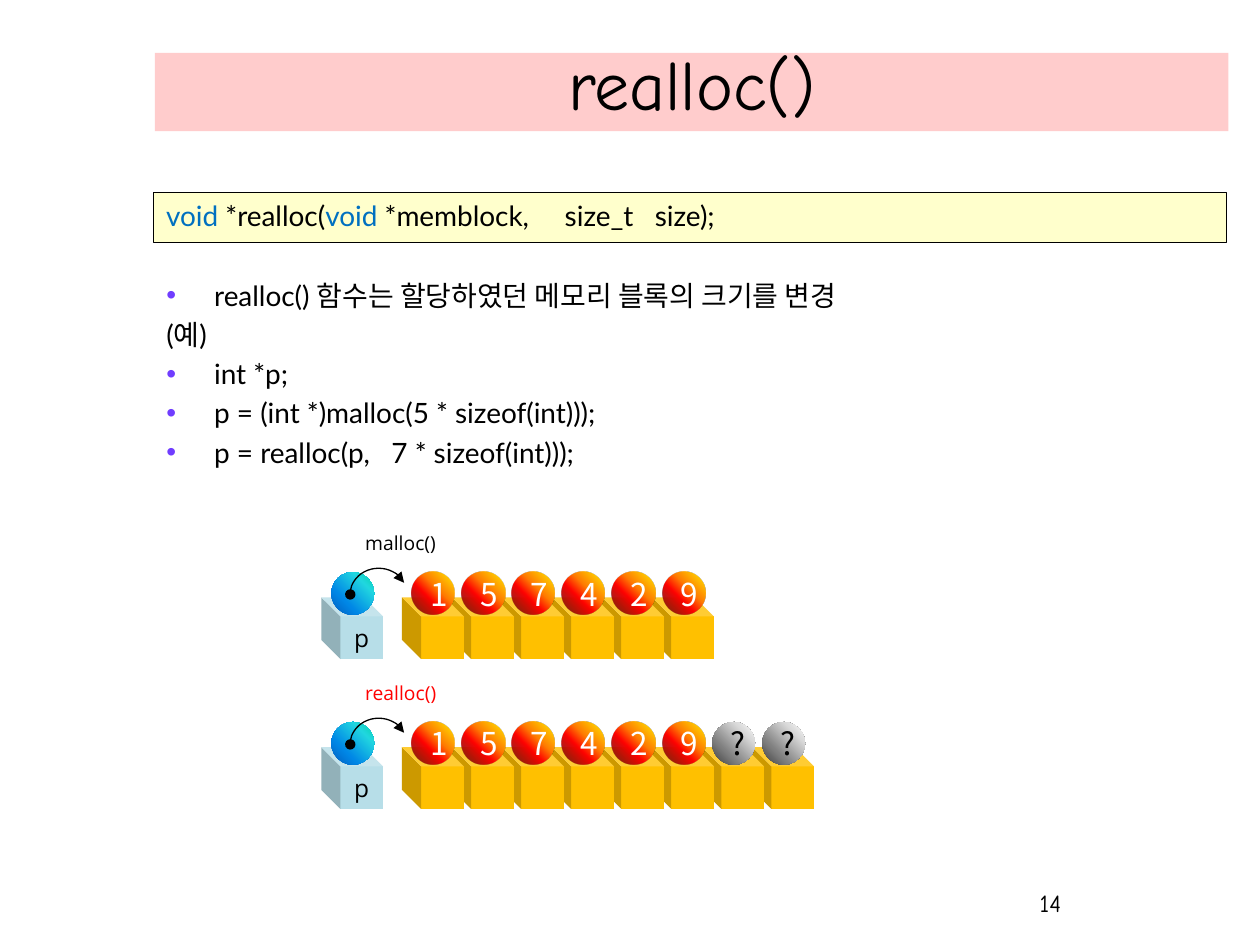
from lxml.etree import SubElement
from pptx import Presentation
from pptx.dml.color import RGBColor
from pptx.enum.shapes import MSO_SHAPE
from pptx.enum.text import MSO_ANCHOR, MSO_AUTO_SIZE, PP_ALIGN
from pptx.oxml.ns import qn
from pptx.util import Inches, Pt

COLORS = {
    "black": "000000", "white": "FFFFFF", "red": "FF0000", "keyword": "0070C0",
    "banner": "FFCCCC", "code": "FFFFCC", "bullet": "703DFF",
    "memory": "FFC000", "pointer": "B7DEE8",
}
# Each stop: position in percent, colour, opacity in percent
GRADIENTS = {
    "pointer": [(0, "03D4A8", 100), (25, "21D6E0", 100), (68, "0087E6", 100), (100, "005CBF", 100)],
    "value": [(0, "FFF200", 100), (40, "FF7A00", 100), (60, "FF0300", 100), (100, "4D0808", 80)],
    "unknown": [(0, "FFFFFF", 100), (25, "D9D9D9", 100), (68, "808080", 100), (100, "404040", 100)],
}
TITLE_FONT, BODY_FONT, KOREAN_FONT, LABEL_FONT = (
    "Comic Neue", "Lato", "Noto Sans CJK KR", "Open Sans")

CODE = [("void", "keyword"), (" *realloc(", "black"), ("void ", "keyword"),
        ("*memblock,     size_t   size);", "black")]
EXAMPLE_HEADING = "(예)"
POINTS = [
    "realloc() 함수는 할당하였던 메모리 블록의 크기를 변경",
    EXAMPLE_HEADING,
    "int *p;",
    "p = (int *)malloc(5 * sizeof(int)));",
    "p = realloc(p,   7 * sizeof(int)));",
]
VALUES = "157429"

FIRST_CELL, LAST_CELL = 3.19, 5.97
CELL_PITCH = (LAST_CELL - FIRST_CELL) / 7
POINTER_LEFT = 2.55
CUBE_SIZE, BALL_SIZE = 0.49, 0.34


def rgb(color):
    return RGBColor.from_string(COLORS[color])


def place(shape, left, top, width, height):
    shape.left, shape.top = Inches(left), Inches(top)
    shape.width, shape.height = Inches(width), Inches(height)


def format_run(run, font, size, color):
    run.font.name = font
    run.font.size = Pt(size)
    run.font.color.rgb = rgb(color)
    east_asian = SubElement(run.font._element, qn("a:ea"))
    east_asian.set("typeface", KOREAN_FONT)


def write(shape, text, font, size, color, align=PP_ALIGN.LEFT, anchor=MSO_ANCHOR.TOP):
    frame = shape.text_frame
    frame.word_wrap = True
    frame.vertical_anchor = anchor
    frame.text = text
    for paragraph in frame.paragraphs:
        paragraph.alignment = align
        for run in paragraph.runs:
            format_run(run, font, size, color)


def add_label(slide, box, *text_style):
    label = slide.shapes.add_textbox(*map(Inches, box))
    write(label, *text_style)


def add_preset(slide, preset, *box):
    shape = slide.shapes.add_shape(preset, *map(Inches, box))
    shape.shadow.inherit = False
    shape.line.fill.background()
    return shape


def add_title(slide):
    title = slide.shapes.title
    place(title, 1.23, 0.42, 8.52, 0.62)
    title.fill.solid()
    title.fill.fore_color.rgb = rgb("banner")
    write(title, "realloc()", TITLE_FONT, 40, "black", PP_ALIGN.CENTER, MSO_ANCHOR.BOTTOM)
    title.text_frame.auto_size = MSO_AUTO_SIZE.NONE


def add_code(slide):
    panel = add_preset(slide, MSO_SHAPE.RECTANGLE, 1.22, 1.53, 8.51, 0.39)
    panel.fill.solid()
    panel.fill.fore_color.rgb = rgb("code")
    panel.line.color.rgb = rgb("black")
    panel.line.width = Pt(0.33)
    panel.text_frame.vertical_anchor = MSO_ANCHOR.TOP
    line = panel.text_frame.paragraphs[0]
    line.alignment = PP_ALIGN.LEFT
    for text, color in CODE:
        run = line.add_run()
        run.text = text
        format_run(run, BODY_FONT, 16, color)


def set_bullet(paragraph, has_bullet):
    properties = paragraph._p.get_or_add_pPr()
    properties.set("marL", str(Inches(0.38)))
    properties.set("indent", str(-Inches(0.38)))
    if has_bullet:
        color = SubElement(properties, qn("a:buClr"))
        SubElement(color, qn("a:srgbClr")).set("val", COLORS["bullet"])
        SubElement(properties, qn("a:buChar")).set("char", "•")
    else:
        SubElement(properties, qn("a:buNone"))


def add_points(slide):
    body = slide.placeholders[1]
    place(body, 1.22, 2.16, 8.43, 1.73)
    write(body, "\n".join(POINTS), BODY_FONT, 16, "black")
    body.text_frame.auto_size = MSO_AUTO_SIZE.NONE
    for paragraph in body.text_frame.paragraphs:
        set_bullet(paragraph, paragraph.text != EXAMPLE_HEADING)


def add_cube(slide, left, top, color):
    cube = add_preset(slide, MSO_SHAPE.CUBE, left, top, CUBE_SIZE, CUBE_SIZE)
    cube.adjustments[0] = 0.31
    cube._element.spPr.xfrm.set("flipH", "1")
    cube.fill.solid()
    cube.fill.fore_color.rgb = rgb(color)
    return cube


def fill_radial(shape, stops):
    """Fill with a circular gradient centred on the top right corner."""
    shape.fill.gradient()
    gradient = shape._element.spPr.find(qn("a:gradFill"))
    for child in list(gradient):
        gradient.remove(child)
    stop_list = SubElement(gradient, qn("a:gsLst"))
    for position, color, opacity in stops:
        stop = SubElement(stop_list, qn("a:gs"), pos=str(position * 1000))
        stop_color = SubElement(stop, qn("a:srgbClr"), val=color)
        if opacity < 100:
            SubElement(stop_color, qn("a:alpha"), val=str(opacity * 1000))
    circle = SubElement(gradient, qn("a:path"), path="circle")
    SubElement(circle, qn("a:fillToRect"), l="100000", b="100000")


def add_ball(slide, left, top, gradient):
    ball = add_preset(slide, MSO_SHAPE.OVAL, left, top, BALL_SIZE, BALL_SIZE)
    fill_radial(ball, GRADIENTS[gradient])
    return ball


def add_pointer_arc(slide, top):
    arc = add_preset(slide, MSO_SHAPE.ARC, 2.78, top, 0.45, 0.41)
    arc.adjustments[0], arc.adjustments[1] = 107.54, 201.67
    arc.fill.background()
    arc.line.color.rgb = rgb("black")
    arc.line.width = Pt(0.75)
    outline = arc.line._get_or_add_ln()
    SubElement(outline, qn("a:headEnd"), type="oval")
    SubElement(outline, qn("a:tailEnd"), type="triangle")


def add_memory_row(slide, top, call, call_color, values):
    """Draw pointer p and its memory cells; top is that of the cubes."""
    cell_lefts = [FIRST_CELL + i * CELL_PITCH for i in range(len(values))]
    for left in reversed(cell_lefts):
        add_cube(slide, left, top, "memory")
    pointer = add_cube(slide, POINTER_LEFT, top, "pointer")
    write(pointer, "p", LABEL_FONT, 14, "black", PP_ALIGN.CENTER, MSO_ANCHOR.MIDDLE)
    add_ball(slide, POINTER_LEFT + 0.08, top - 0.2, "pointer")
    add_pointer_arc(slide, top - 0.23)
    add_label(slide, (2.8, top - 0.57, 0.81, 0.29), call, LABEL_FONT, 11, call_color)
    for left, value in zip(cell_lefts, values):
        gradient, color = ("unknown", "black") if value == "?" else ("value", "white")
        ball = add_ball(slide, left + 0.08, top - 0.2, gradient)
        write(ball, value, KOREAN_FONT, 18, color, PP_ALIGN.CENTER, MSO_ANCHOR.MIDDLE)


def main():
    presentation = Presentation()
    presentation.slide_width, presentation.slide_height = Inches(10), Inches(7.5)
    slide = presentation.slides.add_slide(presentation.slide_layouts[1])
    add_title(slide)
    add_code(slide)
    add_points(slide)
    add_memory_row(slide, 4.74, "malloc()", "black", VALUES)
    add_memory_row(slide, 5.93, "realloc()", "red", VALUES + "??")
    add_label(slide, (6.44, 7, 2.08, 0.5), "14", TITLE_FONT, 14, "black", PP_ALIGN.RIGHT)
    presentation.save("out.pptx")


if __name__ == "__main__":
    main()
